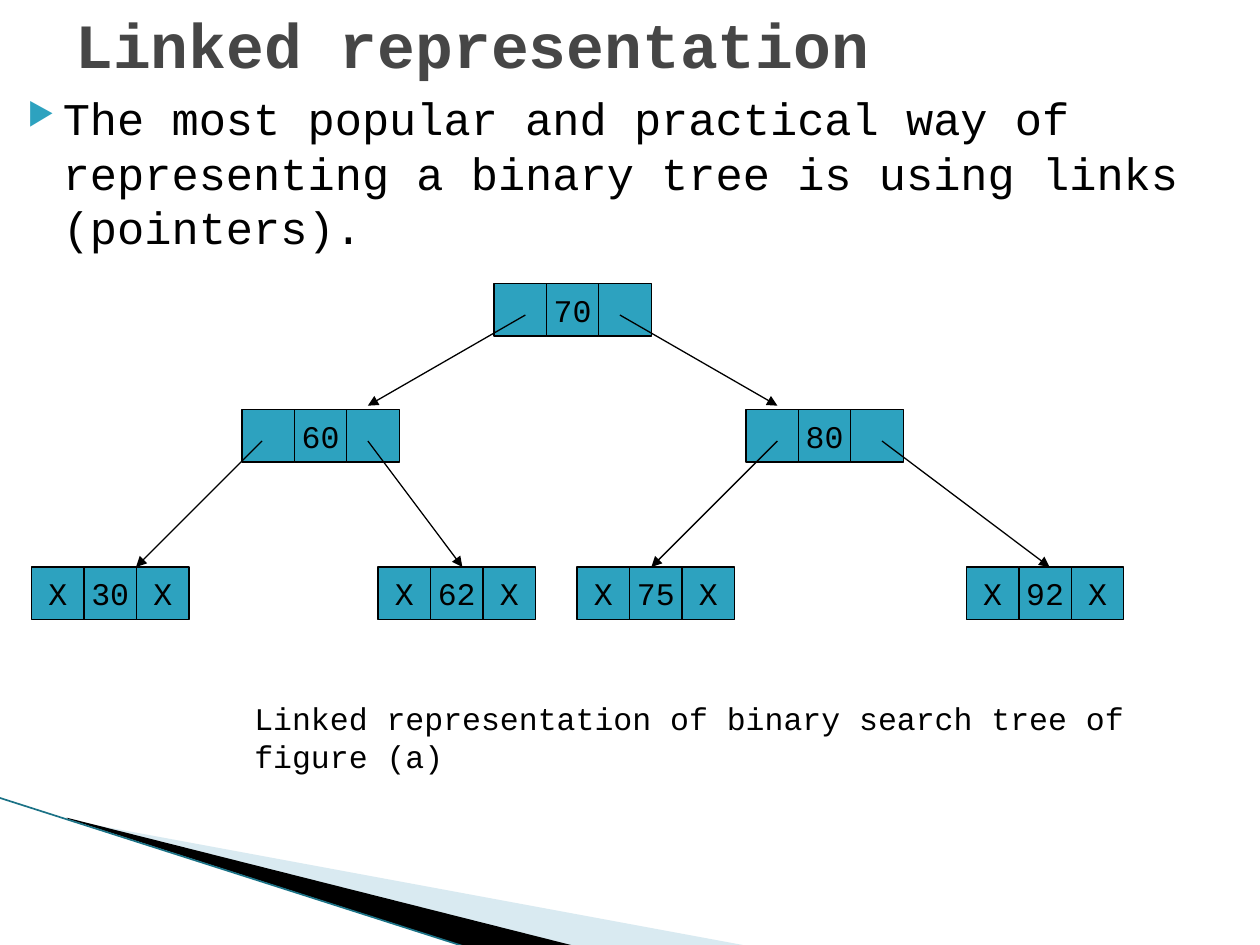
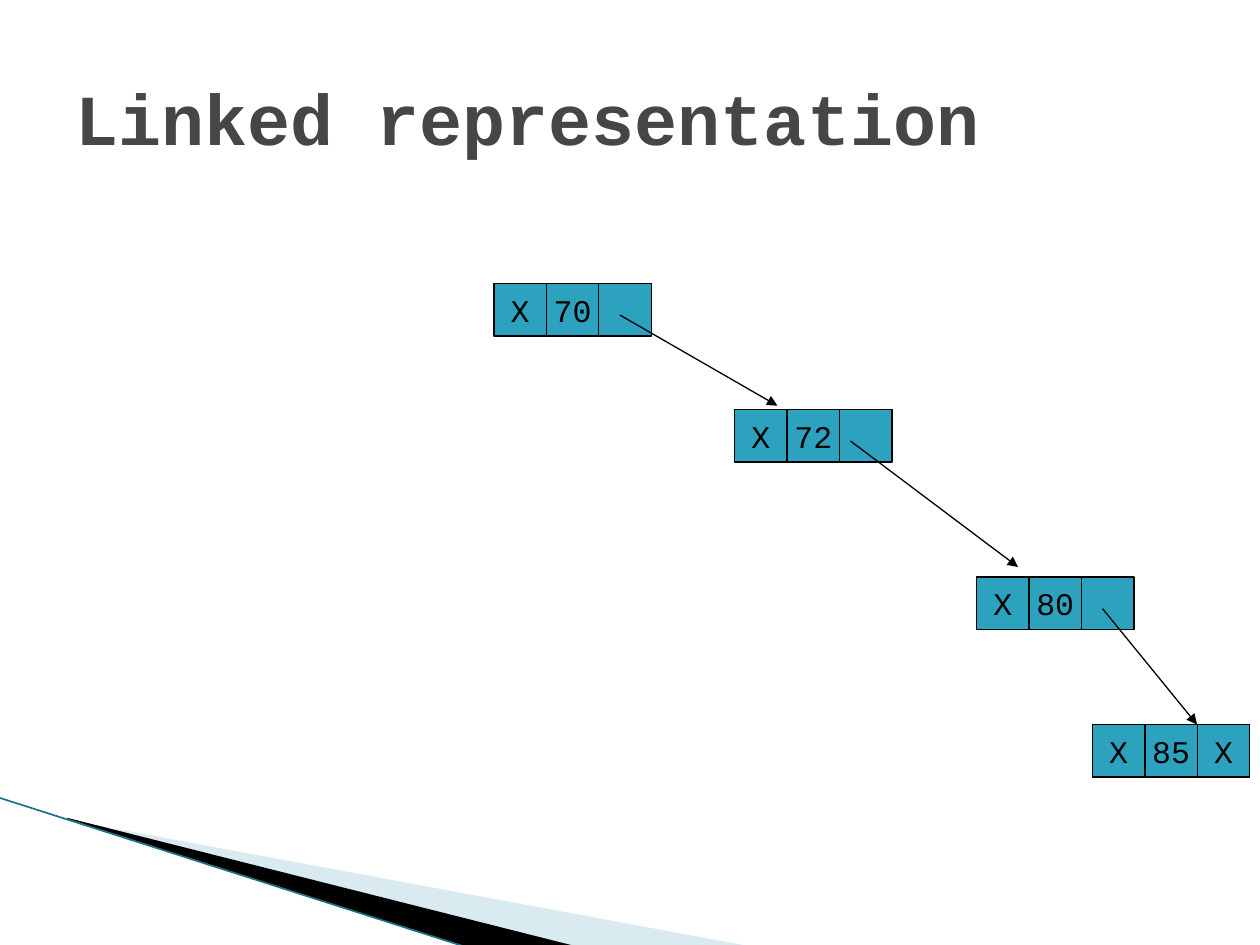
from pptx import Presentation
from pptx.dml.color import RGBColor
from pptx.enum import shapes, text
from pptx.oxml.ns import qn
from pptx.util import Inches, Pt
from lxml import etree

FONT = "Courier New"
BLACK = RGBColor(0x00, 0x00, 0x00)
TITLE_GRAY = RGBColor(0x46, 0x46, 0x46)
TEAL = RGBColor(0x2D, 0xA2, 0xBF)
PALE_BLUE = RGBColor(0xA0, 0xCB, 0xDC)
EDGE_TEAL = RGBColor(0x1B, 0x72, 0x86)
CELL = 5 / 12
LINK_DROP = 0.25

TITLE = "Linked representation"
INTRO = ("The most popular and practical way of representing "
         "a binary tree is using links (pointers).")
CAPTION = "Linked representation of binary search tree of figure (a)"

# placeholder

SLIDES = [
    {
        "title": ((0.5, 0.08, 9, 0.53), 36),
        "intro": (0, 0.67, 10, 1.17),
        "caption": (1.92, 5.5, 7.17, 0.4),
        "nodes": [
            (3.92, 2.25, ("", "70", "")),
            (5.92, 3.25, ("", "80", "")),
            (1.92, 3.25, ("", "60", "")),
            (0.25, 4.5, ("X", "30", "X")),
            (3, 4.5, ("X", "62", "X")),
            (4.58, 4.5, ("X", "75", "X")),
            (7.67, 4.5, ("X", "92", "X")),
        ],
        "links": [
            (4.17, 2.25, 2.92, 3.22),
            (4.92, 2.25, 6.17, 3.22),
            (2.08, 3.25, 1.08, 4.5),
            (2.92, 3.25, 3.67, 4.5),
            (6.17, 3.25, 5.17, 4.5),
            (7, 3.25, 8.33, 4.5),
        ],
    },
    {
        "title": ((0.5, 0.3, 9, 1.25), 41),
        "nodes": [
            (3.92, 2.25, ("X", "70", "")),
            (5.83, 3.25, ("X", "72", "")),
            (7.75, 4.58, ("X", "80", "")),
            (8.67, 5.75, ("X", "85", "X")),
        ],
        "links": [
            (4.92, 2.25, 6.17, 3.22),
            (6.75, 3.25, 8.08, 4.5),
            (8.75, 4.58, 9.5, 5.75),
        ],
    },
]

WEDGES = [
    ([(0.55, 6.51), (5.95, 7.51), (4.56, 7.51), (0.55, 6.5)], PALE_BLUE, 40),
    ([(0.53, 6.49), (4.57, 7.51), (3.72, 7.52), (0.54, 6.5)], BLACK, 100),
]


def add_wedge(page, points, color, opacity):
    corners = [(Inches(x), Inches(y)) for x, y in points]
    builder = page.shapes.build_freeform(*corners[0])
    builder.add_line_segments(corners[1:], close=True)
    wedge = builder.convert_to_shape()
    wedge.shadow.inherit = False
    wedge.fill.solid()
    wedge.fill.fore_color.rgb = color
    wedge.line.fill.background()
    if opacity < 100:
        swatch = wedge._element.spPr.find(qn("a:solidFill"))[0]
        etree.SubElement(swatch, qn("a:alpha"), val=str(opacity * 1000))


def add_line(page, ends, color, width):
    line = page.shapes.add_connector(
        shapes.MSO_CONNECTOR.STRAIGHT, *(Inches(value) for value in ends))
    line.line.color.rgb = color
    line.line.width = Pt(width)
    etree.SubElement(line._element.spPr, qn("a:effectLst"))
    return line


def add_link(page, x, node_top, end_x, end_y):
    link = add_line(page, (x, node_top + LINK_DROP, end_x, end_y), BLACK, 0.75)
    etree.SubElement(link.line._get_or_add_ln(), qn("a:tailEnd"), type="triangle")


def style(para, size, color=BLACK, bold=False):
    para.font.name = FONT
    para.font.size = Pt(size)
    para.font.color.rgb = color
    para.font.bold = bold


def add_text(page, area, words, size, color=BLACK, bold=False):
    box = page.shapes.add_textbox(*(Inches(value) for value in area))
    box.text_frame.word_wrap = True
    para = box.text_frame.paragraphs[0]
    para.text = words
    style(para, size, color, bold)
    return box.text_frame


def add_bullet(para):
    settings = para._p.get_or_add_pPr()
    settings.set("marL", str(Inches(0.4)))
    settings.set("indent", str(Inches(-0.28)))
    para.space_before = Pt(4)
    color = etree.SubElement(settings, qn("a:buClr"))
    etree.SubElement(color, qn("a:srgbClr"), val=str(TEAL))
    etree.SubElement(settings, qn("a:buSzPct"), val="68000")
    etree.SubElement(settings, qn("a:buChar"), char="▶")
    settings.append(settings.find(qn("a:defRPr")))


def add_node(page, left, top, labels):
    for column, label in enumerate(labels):
        cell = page.shapes.add_shape(
            shapes.MSO_SHAPE.RECTANGLE, Inches(left + column * CELL),
            Inches(top), Inches(CELL), Inches(CELL))
        cell.shadow.inherit = False
        cell.fill.solid()
        cell.fill.fore_color.rgb = TEAL
        cell.line.color.rgb = BLACK
        cell.line.width = Pt(0.75)
        if label:
            frame = cell.text_frame
            frame.word_wrap = False
            frame.vertical_anchor = text.MSO_ANCHOR.MIDDLE
            para = frame.paragraphs[0]
            para.text = label
            para.alignment = text.PP_ALIGN.CENTER
            style(para, 18)


def build_slide(deck, content):
    page = deck.slides.add_slide(deck.slide_layouts[6])
    for wedge in WEDGES:
        add_wedge(page, *wedge)
    add_line(page, (-0.01, 6.33, 3.71, 7.52), EDGE_TEAL, 0.95)
    if "intro" in content:
        intro = add_text(page, content["intro"], INTRO, 25.9)
        add_bullet(intro.paragraphs[0])
    area, size = content["title"]
    title = add_text(page, area, TITLE, size, TITLE_GRAY, bold=True)
    title.vertical_anchor = text.MSO_ANCHOR.MIDDLE
    for node in content["nodes"]:
        add_node(page, *node)
    for link in content["links"]:
        add_link(page, *link)
    if "caption" in content:
        add_text(page, content["caption"], CAPTION, 18)


def main():
    deck = Presentation()
    deck.slide_width, deck.slide_height = Inches(10), Inches(7.5)
    for content in SLIDES:
        build_slide(deck, content)
    deck.save("out.pptx")


if __name__ == "__main__":
    main()
